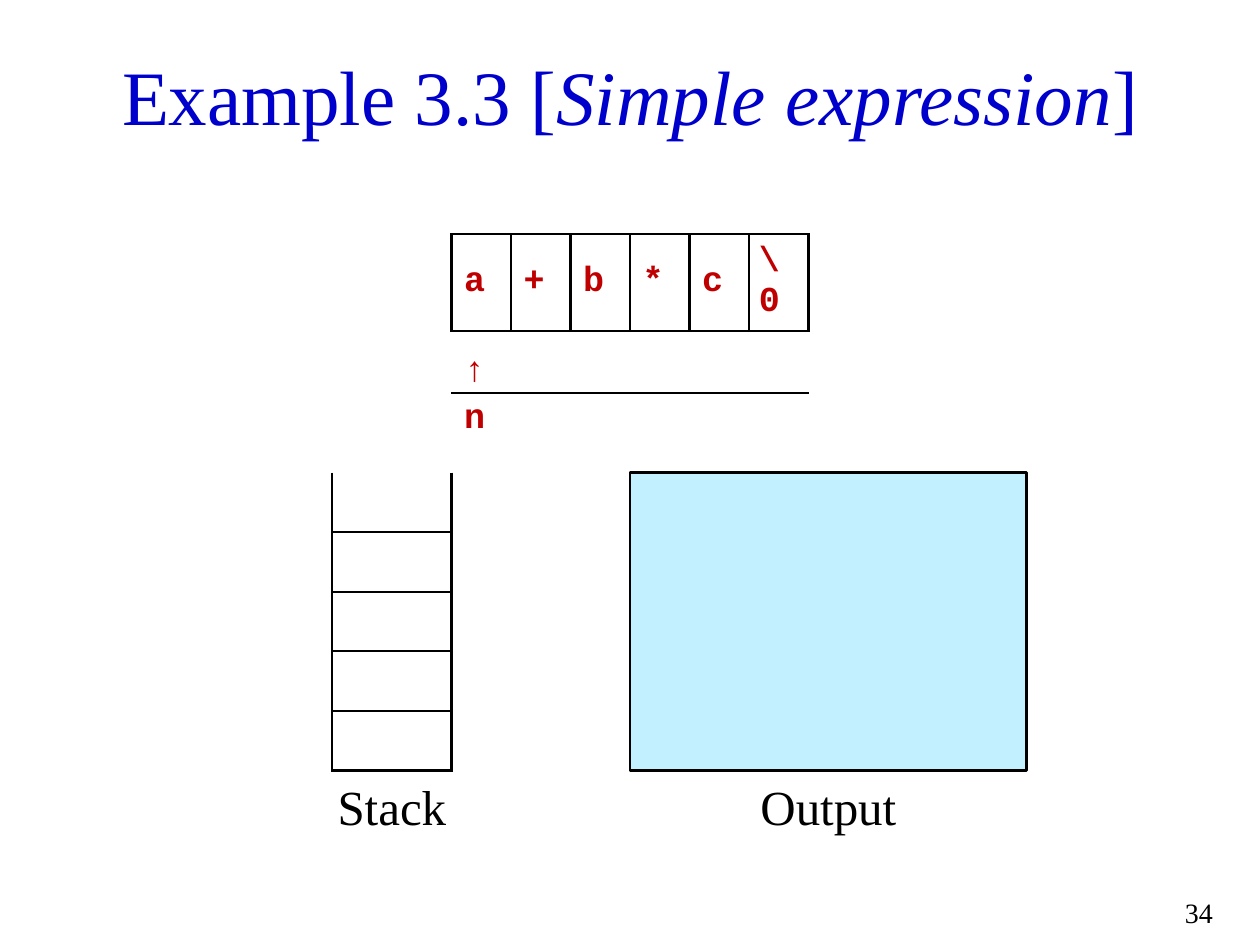
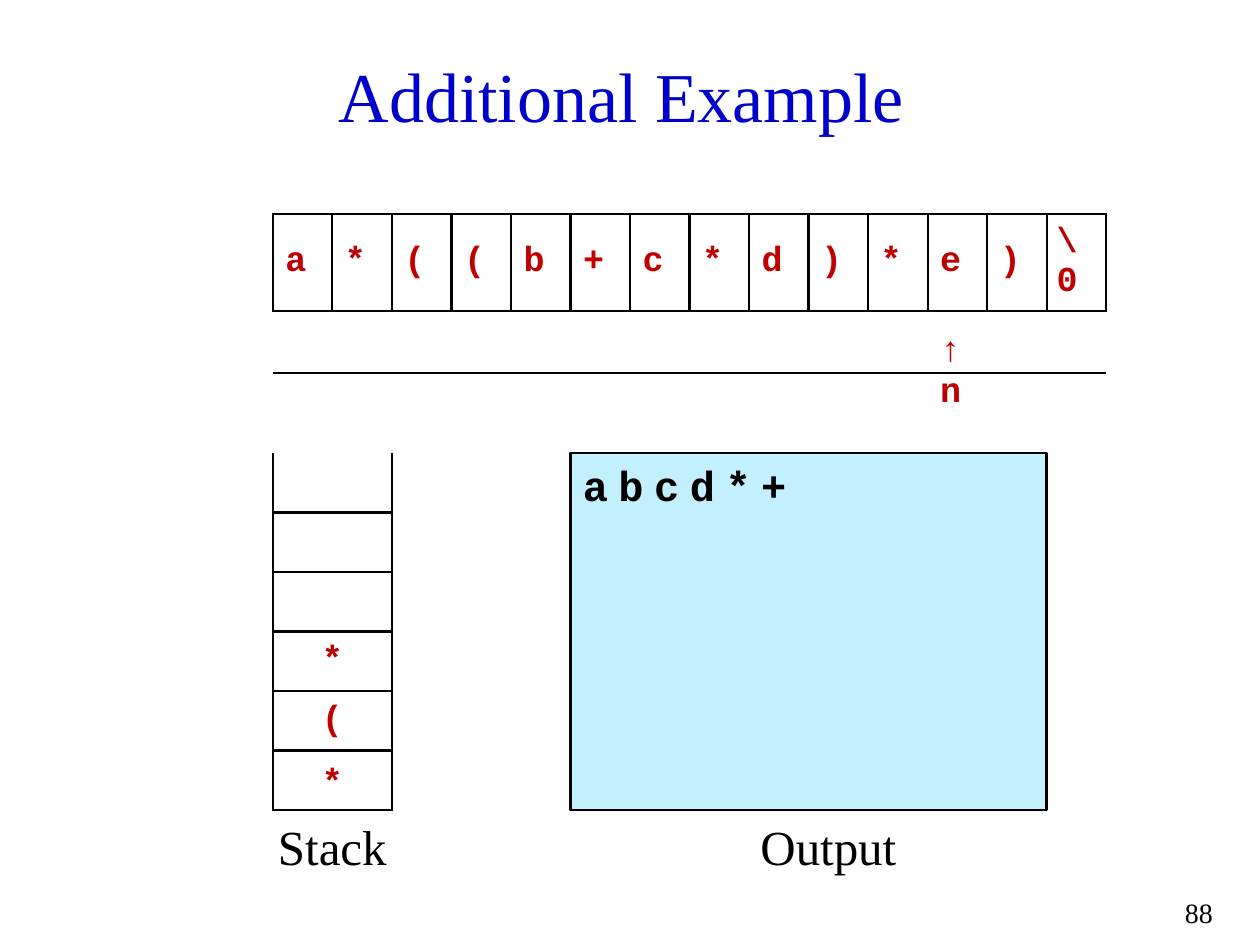
from lxml.etree import SubElement
from pptx import Presentation
from pptx.dml.color import RGBColor
from pptx.enum.shapes import MSO_SHAPE
from pptx.enum.text import MSO_ANCHOR, PP_ALIGN
from pptx.oxml.ns import qn
from pptx.util import Cm, Pt

BLUE = RGBColor(0x00, 0x00, 0xCC)
RED = RGBColor(0xC0, 0x00, 0x00)
BLACK = RGBColor(0x00, 0x00, 0x00)
PALE = RGBColor(0xC2, 0xF0, 0xFF)
SERIF = "Times New Roman"
MONO = "Courier New"
UNIT = 1.2
EDGE = Pt(1.5)
PLAIN = "{2D5ABB26-0587-4C30-8999-92F81FD0307C}"


def style(para, name, size, color, bold=False, align=PP_ALIGN.LEFT):
    para.alignment = align
    font = para.font
    font.name = name
    font.size = Pt(size)
    font.bold = bold
    font.color.rgb = color


def add_text(slide, spot, parts, size, color=BLACK,
             align=PP_ALIGN.CENTER, anchor=MSO_ANCHOR.TOP):
    box = slide.shapes.add_textbox(*map(Cm, spot))
    frame = box.text_frame
    frame.word_wrap = True
    frame.vertical_anchor = anchor
    para = frame.paragraphs[0]
    style(para, SERIF, size, color, align=align)
    for words, slant in parts:
        run = para.add_run()
        run.text = words
        if slant:
            run.font.italic = True


def add_frame(slide, spot, parts, size, number):
    add_text(slide, spot, parts, size, BLUE, anchor=MSO_ANCHOR.MIDDLE)
    add_text(slide, (23.1, 17.93, 1.6, 0.8), [(number, False)], 16,
             align=PP_ALIGN.RIGHT)


def add_grid(slide, left, top, rows, cols, width):
    shape = slide.shapes.add_table(rows, cols, Cm(left), Cm(top),
                                   Cm(width * cols), Cm(UNIT * rows))
    table = shape.table
    table.first_row = table.horz_banding = False
    table._tbl.tblPr.find(qn("a:tableStyleId")).text = PLAIN
    for col in table.columns:
        col.width = Cm(width)
    for row in table.rows:
        row.height = Cm(UNIT)
    return table


def set_cell(cell, text="", sides="", align=PP_ALIGN.LEFT,
             anchor=MSO_ANCHOR.MIDDLE):
    props = cell._tc.get_or_add_tcPr()
    for side in sides:
        line = SubElement(props, qn("a:ln" + side), w=str(EDGE))
        fill = SubElement(line, qn("a:solidFill"))
        SubElement(fill, qn("a:srgbClr"), val=str(BLACK))
    cell.fill.background()
    cell.vertical_anchor = anchor
    if text:
        cell.text = text
        style(cell.text_frame.paragraphs[0], MONO, 20, RED, True, align)


def add_tape(slide, left, top, marks, spot, gap):
    table = add_grid(slide, left, top, 3, len(marks), UNIT)
    for col, mark in enumerate(marks):
        set_cell(table.cell(0, col), mark, "LRTB")
        set_cell(table.cell(1, col), sides="T")
        set_cell(table.cell(2, col))
    last = table.cell(0, len(marks) - 1)
    last.margin_left = last.margin_right = Cm(0.2)
    arrow, name = table.cell(1, spot), table.cell(2, spot)
    set_cell(arrow, "↑")
    arrow.margin_top, arrow.margin_bottom = Cm(0.4), 0
    set_cell(name, "n", anchor=MSO_ANCHOR.TOP)
    name.margin_top = Cm(gap)


def add_stack(slide, left, top, items):
    width = 2 * UNIT
    table = add_grid(slide, left, top, len(items), 1, width)
    for row, item in enumerate(items):
        set_cell(table.cell(row, 0), item, "LRTB" if row else "LRB",
                 PP_ALIGN.CENTER)
    add_text(slide, (left - 0.4, top + UNIT * len(items), width + 0.8, 1.6),
             [("Stack", False)], 28)
    return table


def add_output(slide, left, top, width, height, text=""):
    box = slide.shapes.add_shape(MSO_SHAPE.RECTANGLE,
                                 *map(Cm, (left, top, width, height)))
    box.shadow.inherit = False
    box.fill.solid()
    box.fill.fore_color.rgb = PALE
    box.line.color.rgb = BLACK
    box.line.width = EDGE
    if text:
        frame = box.text_frame
        frame.vertical_anchor = MSO_ANCHOR.TOP
        para = frame.paragraphs[0]
        run = para.add_run()
        run.text = text
        run._r.get_or_add_rPr().set("spc", "600")
        style(para, MONO, 24, BLACK, True)
    add_text(slide, (14.7, top + height, 4, 1.6), [("Output", False)], 28)


def main():
    deck = Presentation()
    deck.slide_width, deck.slide_height = Cm(25.4), Cm(19.05)
    blank = deck.slide_layouts[6]

    slide = deck.slides.add_slide(blank)
    title = [("Example 3.3 [", False), ("Simple expression", True),
             ("]", False)]
    add_frame(slide, (1.1, 0.7, 23.2, 2.4), title, 44, "34")
    add_tape(slide, 9.1, 4.72, [*"a+b*c", "\\0"], 0, 0.13)
    add_stack(slide, 6.7, 9.53, [""] * 5)
    add_output(slide, 12.7, 9.53, 8, 6)

    slide = deck.slides.add_slide(blank)
    add_frame(slide, (0.7, 0.7, 24, 2.4), [("Additional Example ", False)],
              40, "88")
    stack = add_stack(slide, 5.5, 9.13, [""] * 3 + [*"*(*"])
    stack.cell(5, 0).vertical_anchor = MSO_ANCHOR.BOTTOM
    add_output(slide, 11.5, 9.13, 9.6, 7.2, "abcd*+")
    add_tape(slide, 5.5, 4.32, [*"a*((b+c*d)*e)", "\\0"], 11, 0)

    deck.save("out.pptx")


if __name__ == "__main__":
    main()
